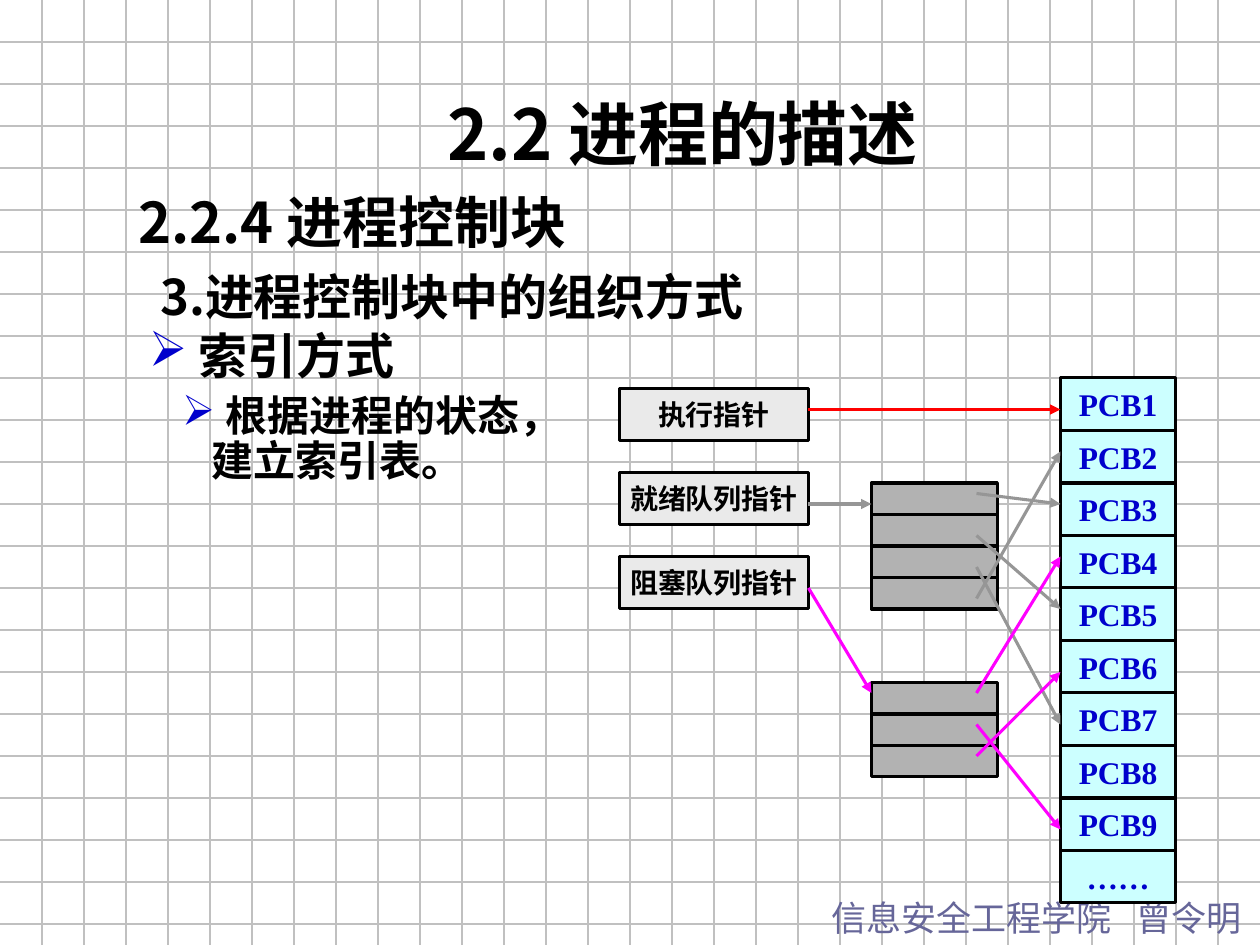
from dataclasses import dataclass

from lxml.etree import SubElement
from pptx import Presentation
from pptx.dml.color import RGBColor
from pptx.enum.shapes import MSO_CONNECTOR, MSO_SHAPE
from pptx.enum.text import MSO_ANCHOR, PP_ALIGN
from pptx.oxml.ns import qn
from pptx.util import Pt


@dataclass(frozen=True)
class Theme:
    latin: str = "Times New Roman"
    title_font: str = "Noto Sans CJK JP"
    heading_font: str = "Noto Sans CJK SC"
    ink: str = "000000"
    blue: str = "0000CC"
    footer: str = "666699"
    grid: str = "C0C0C0"
    pcb: str = "CCFFFF"
    pointer: str = "EAEAEA"
    index: str = "B2B2B2"
    running: str = "FF0000"
    ready: str = "969696"
    blocked: str = "FF00FF"
    title_size: int = 40
    section_size: int = 32
    topic_size: int = 28
    detail_size: int = 24
    footer_size: int = 20
    pcb_size: int = 18
    pointer_size: int = 16
    stroke: float = 1.75
    hairline: float = 0.75


class SlideBuilder:
    def __init__(self, slide, theme):
        self.slide = slide
        self.theme = theme

    def style(self, font, name, size, color, bold=True):
        font.name = name
        font.size = Pt(size)
        font.bold = bold
        font.color.rgb = RGBColor.from_string(color)

    def title(self, text, left, top, width, height):
        title = self.slide.shapes.title
        title.left, title.top, title.width, title.height = map(Pt, (left, top, width, height))
        title.text_frame.text = text
        title.text_frame.vertical_anchor = MSO_ANCHOR.MIDDLE
        paragraph = title.text_frame.paragraphs[0]
        paragraph.alignment = PP_ALIGN.CENTER
        self.style(paragraph.font, self.theme.title_font, self.theme.title_size, self.theme.ink)
        self.slide.shapes._spTree.append(title._element)

    def text_frame(self, left, top, width, height):
        frame = self.slide.shapes.add_textbox(*map(Pt, (left, top, width, height))).text_frame
        frame.word_wrap = True
        return frame

    def indent(self, paragraph, margin, first_line):
        properties = paragraph._p.get_or_add_pPr()
        properties.set("marL", str(Pt(margin)))
        properties.set("indent", str(Pt(first_line)))
        return properties

    def heading(self, paragraph, numbered, plain, size, first_line):
        self.indent(paragraph, 36, first_line)
        paragraph.line_spacing = 1.2
        for text, name in ((numbered, self.theme.heading_font), (plain, self.theme.latin)):
            run = paragraph.add_run()
            run.text = text
            self.style(run.font, name, size, self.theme.ink)

    def bullet(self, paragraph, text, size, margin, first_line):
        paragraph.text = text
        paragraph.line_spacing = 0.9
        properties = self.indent(paragraph, margin, first_line)
        color = SubElement(properties, qn("a:buClr"))
        SubElement(color, qn("a:srgbClr"), val=self.theme.blue)
        SubElement(properties, qn("a:buChar"), char="➢")
        self.style(paragraph.font, self.theme.latin, size, self.theme.ink)

    def footer(self, text, left, top, width, height, tab_stop):
        paragraph = self.text_frame(left, top, width, height).paragraphs[0]
        paragraph.text = text
        tabs = SubElement(paragraph._p.get_or_add_pPr(), qn("a:tabLst"))
        SubElement(tabs, qn("a:tab"), pos=str(Pt(tab_stop)), algn="l")
        self.style(paragraph.font, self.theme.title_font, self.theme.footer_size,
                   self.theme.footer, bold=False)

    def cell(self, left, top, width, height, fill, text="", size=18, color="000000"):
        cell = self.slide.shapes.add_shape(MSO_SHAPE.RECTANGLE,
                                           *map(Pt, (left, top, width, height)))
        cell.shadow.inherit = False
        cell.fill.solid()
        cell.fill.fore_color.rgb = RGBColor.from_string(fill)
        cell.line.color.rgb = RGBColor.from_string(self.theme.ink)
        cell.line.width = Pt(self.theme.stroke)
        if text:
            cell.text_frame.text = text
            cell.text_frame.word_wrap = False
            cell.text_frame.vertical_anchor = MSO_ANCHOR.MIDDLE
            paragraph = cell.text_frame.paragraphs[0]
            paragraph.alignment = PP_ALIGN.CENTER
            self.style(paragraph.font, self.theme.latin, size, color)

    def line(self, start, end, color, width):
        line = self.slide.shapes.add_connector(MSO_CONNECTOR.STRAIGHT, *map(Pt, start + end))
        line.line.color.rgb = RGBColor.from_string(color)
        line.line.width = Pt(width)
        SubElement(line._element.spPr, qn("a:effectLst"))
        return line

    def arrow(self, start, end, color):
        arrow = self.line(start, end, color, self.theme.stroke)
        SubElement(arrow.line._get_or_add_ln(), qn("a:tailEnd"), type="triangle")


def main():
    presentation = Presentation()
    presentation.slide_width, presentation.slide_height = Pt(720), Pt(540)
    theme = Theme()
    builder = SlideBuilder(presentation.slides.add_slide(presentation.slide_layouts[5]), theme)

    for y in range(24, 540, 24):
        builder.line((0, y), (720, y), theme.grid, theme.hairline)
    for x in range(24, 720, 24):
        builder.line((x, 0), (x, 540), theme.grid, theme.hairline)

    builder.footer("信息安全工程学院\t曾令明", 468, 509, 252, 32, 174.5)

    headings = builder.text_frame(72, 96, 618, 94)
    builder.heading(headings.paragraphs[0], "2.2.4 ", "进程控制块", theme.section_size, -36)
    builder.heading(headings.add_paragraph(), "3.进程控制块中的", "组织方式", theme.topic_size, -23.5)

    method = builder.text_frame(78, 186, 240, 100)
    builder.bullet(method.paragraphs[0], " 索引方式", theme.topic_size, 0, 0)
    detail = method.add_paragraph()
    detail.space_before = Pt(6)
    builder.bullet(detail, " 根据进程的状态，建立索引表。", theme.detail_size, 36, -17)

    pcb_left, pcb_top, pcb_height = 606, 216, 30
    pcb_labels = [f"PCB{number}" for number in range(1, 10)] + ["……"]
    for row, label in enumerate(pcb_labels):
        builder.cell(pcb_left, pcb_top + row * pcb_height, 66, pcb_height,
                     theme.pcb, label, theme.pcb_size, theme.blue)

    for row, label in enumerate(("执行指针", "就绪队列指针", "阻塞队列指针")):
        builder.cell(354, 222 + row * 48, 108, 30, theme.pointer, label, theme.pointer_size)

    index_left, entry_height = 498, 18
    ready_top, blocked_top = 276, 390
    for top, entries in ((ready_top, 4), (blocked_top, 3)):
        for row in range(entries):
            builder.cell(index_left, top + row * entry_height, 72, entry_height, theme.index)

    builder.arrow((462, 234), (pcb_left, 234), theme.running)
    builder.arrow((462, 288), (index_left, 288), theme.ready)
    builder.arrow((462, 336), (index_left, 396), theme.blocked)

    entry_targets = (
        (theme.ready, ((282, 288), (306, 348), (324, 414), (342, 258))),
        (theme.blocked, ((396, 318), (432, 384), (414, 474))),
    )
    for color, links in entry_targets:
        for entry_y, pcb_y in links:
            builder.arrow((558, entry_y), (pcb_left, pcb_y), color)

    builder.title("2.2 进程的描述", 102, 48, 576, 55.5)
    presentation.save("out.pptx")


if __name__ == "__main__":
    main()
